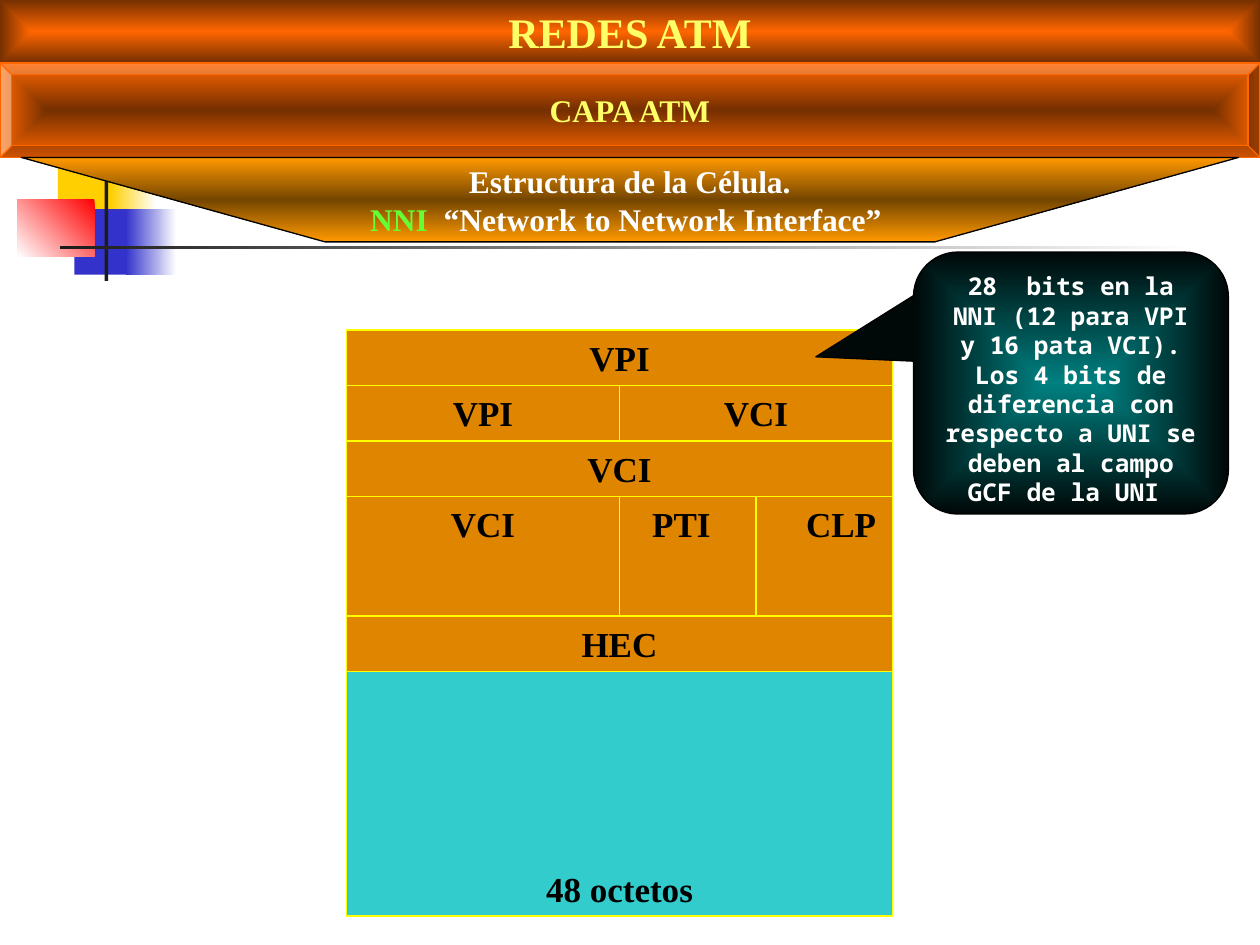
from itertools import accumulate

from lxml.etree import SubElement
from pptx import Presentation
from pptx.dml.color import RGBColor
from pptx.enum.shapes import MSO_CONNECTOR, MSO_SHAPE as Preset
from pptx.enum.text import MSO_ANCHOR as Anchor, PP_ALIGN as Align
from pptx.oxml.ns import qn
from pptx.util import Inches, Pt

WIDTH, HEIGHT = 10, 7.5
COLORS = {
    "white": "FFFFFF", "black": "000000", "ink": "1C1C1C",
    "gold": "FFCF01", "blue": "3333CC", "red": "FF0000",
    "orange": "FF6600", "rust": "752F00", "amber": "FF9900", "brown": "754600",
    "title": "FFFF66", "green": "66FF33", "header": "E08500", "payload": "33CCCC",
    "border": "FFFF00", "teal": "008080", "night": "000808",
}
SERIF, MONO = "Times New Roman", "Noto Sans Mono"

CELL_LEFT, CELL_TOP, COLUMN = 2.75, 2.62, 13 / 12
ROW_HEIGHTS = [0.44, 0.44, 0.44, 0.95, 0.44, 1.94]
ROW_TOPS = list(accumulate(ROW_HEIGHTS, initial=CELL_TOP))
CELLS = [
    (0, 0, 4, "VPI"),
    (1, 0, 2, "VPI"),
    (1, 2, 2, "VCI"),
    (2, 0, 4, "VCI"),
    (3, 0, 2, "VCI"),
    (4, 0, 4, "HEC"),
]


def rgb(name):
    return RGBColor.from_string(COLORS[name])


def paint_gradient(shape, names, angle=None):
    shape.fill.gradient()
    gradient = shape.element.spPr.find(qn("a:gradFill"))
    for child in list(gradient):
        gradient.remove(child)
    stops = SubElement(gradient, qn("a:gsLst"))
    for position, name in zip(("0", "100000"), names):
        stop = SubElement(stops, qn("a:gs"), pos=position)
        SubElement(stop, qn("a:srgbClr"), val=COLORS[name])
    if angle is None:
        frame = SubElement(gradient, qn("a:path"), {"path": "rect"})
        SubElement(frame, qn("a:fillToRect"), dict.fromkeys("ltrb", "50000"))
    else:
        SubElement(gradient, qn("a:lin"), ang=str(angle * 60000), scaled="0")


def style(shape, fill, line=None, angle=None):
    shape.shadow.inherit = False
    if isinstance(fill, tuple):
        paint_gradient(shape, fill, angle)
    else:
        shape.fill.solid()
        shape.fill.fore_color.rgb = rgb(fill)
    if line:
        shape.line.color.rgb = rgb(line)
        shape.line.width = Pt(0.75)
    else:
        shape.line.fill.background()
    return shape


def add_block(slide, box, fill, line=None, preset=Preset.RECTANGLE, angle=None, adjustments=()):
    shape = slide.shapes.add_shape(preset, *map(Inches, box))
    for index, value in enumerate(adjustments):
        shape.adjustments[index] = value
    return style(shape, fill, line, angle)


def write(shape, *lines, size=20, color="black", font=SERIF, anchor=Anchor.TOP,
          align=Align.CENTER, wrap=True, left=0.1, right=0.1):
    frame = shape.text_frame
    frame.word_wrap = wrap
    frame.vertical_anchor = anchor
    frame.margin_left, frame.margin_right = Inches(left), Inches(right)
    for index, line in enumerate(lines):
        paragraph = frame.add_paragraph() if index else frame.paragraphs[0]
        paragraph.alignment = align
        for text, run_color in [(line, color)] if isinstance(line, str) else line:
            run = paragraph.add_run()
            run.text = text
            run.font.size = Pt(size)
            run.font.bold = True
            run.font.name = font
            run.font.color.rgb = rgb(run_color)


def cell_box(row, column, span):
    return CELL_LEFT + column * COLUMN, ROW_TOPS[row], span * COLUMN, ROW_HEIGHTS[row]


def add_cell(slide, row, column, span, fill="header"):
    return add_block(slide, cell_box(row, column, span), fill, "border")


def add_divider(slide, cell):
    connector = slide.shapes.add_connector(MSO_CONNECTOR.STRAIGHT, 0, 0, 0, 0)
    connector.begin_connect(cell, 0)
    connector.end_connect(cell, 2)
    connector.line.color.rgb = rgb("border")
    connector.line.width = Pt(0.75)
    SubElement(connector.element.spPr, qn("a:effectLst"))


def add_ornament(slide):
    add_block(slide, (0.46, 1.2, 0.48, 0.52), "gold")
    add_block(slide, (0.88, 1.2, 0.36, 0.52), ("white", "gold"), angle=180)
    add_block(slide, (0.59, 1.66, 0.46, 0.52), "blue")
    add_block(slide, (1, 1.66, 0.4, 0.52), ("white", "blue"), angle=180)
    add_block(slide, (0.14, 1.58, 0.61, 0.46), ("red", "white"), angle=135)
    add_block(slide, (0.83, 1.08, 0.03, 1.15), "ink")
    add_block(slide, (0.48, 1.95, 9, 0.03), ("white", "ink"), angle=180)


def add_headings(slide):
    title = add_block(slide, (0, 0, WIDTH, 0.5), ("orange", "rust"))
    write(title, "REDES ATM", size=24, color="title", anchor=Anchor.MIDDLE)

    layer = add_block(slide, (0, 0.5, WIDTH, 0.75), ("rust", "orange"), "orange",
                      Preset.BEVEL, adjustments=[0.125])
    write(layer, "CAPA ATM", size=18, color="title", anchor=Anchor.MIDDLE, wrap=False)

    corners = [(0.17, 1.25), (9.83, 1.25), (7.42, 1.92), (2.58, 1.92)]
    points = [(Inches(x), Inches(y)) for x, y in corners]
    builder = slide.shapes.build_freeform(*points[0])
    builder.add_line_segments(points[1:], close=True)
    subtitle = style(builder.convert_to_shape(), ("brown", "amber"), "black")
    write(subtitle, "Estructura de la Célula.",
          [("NNI ", "green"), (" “Network to Network Interface” ", "white")],
          size=18, color="white", anchor=Anchor.MIDDLE, wrap=False)


def add_atm_cell(slide):
    payload = add_cell(slide, 5, 0, 4, "payload")
    write(payload, "48 octetos", anchor=Anchor.BOTTOM)
    for row, column, span, text in CELLS:
        write(add_cell(slide, row, column, span), text)
    control = add_cell(slide, 3, 2, 2)
    write(control, "PTI", align=Align.LEFT, left=0.26)
    priority = slide.shapes.add_textbox(*map(Inches, cell_box(3, 3, 1)))
    write(priority, "CLP", align=Align.RIGHT, right=0.13)
    add_divider(slide, control)


def add_callout(slide):
    callout = add_block(slide, (7.25, 2, 2.5, 2.08), ("teal", "night"), "black",
                        Preset.ROUNDED_RECTANGULAR_CALLOUT,
                        adjustments=[-0.81, -0.1, 0.17])
    write(callout, "28  bits en la NNI (12 para VPI y 16 pata VCI). Los 4 bits de "
          "diferencia con respecto a UNI se deben al campo GCF de la UNI ",
          size=14, color="white", font=MONO)


def main():
    presentation = Presentation()
    presentation.slide_width = Inches(WIDTH)
    presentation.slide_height = Inches(HEIGHT)
    slide = presentation.slides.add_slide(presentation.slide_layouts[6])
    add_ornament(slide)
    add_headings(slide)
    add_atm_cell(slide)
    add_callout(slide)
    presentation.save("out.pptx")


if __name__ == "__main__":
    main()
